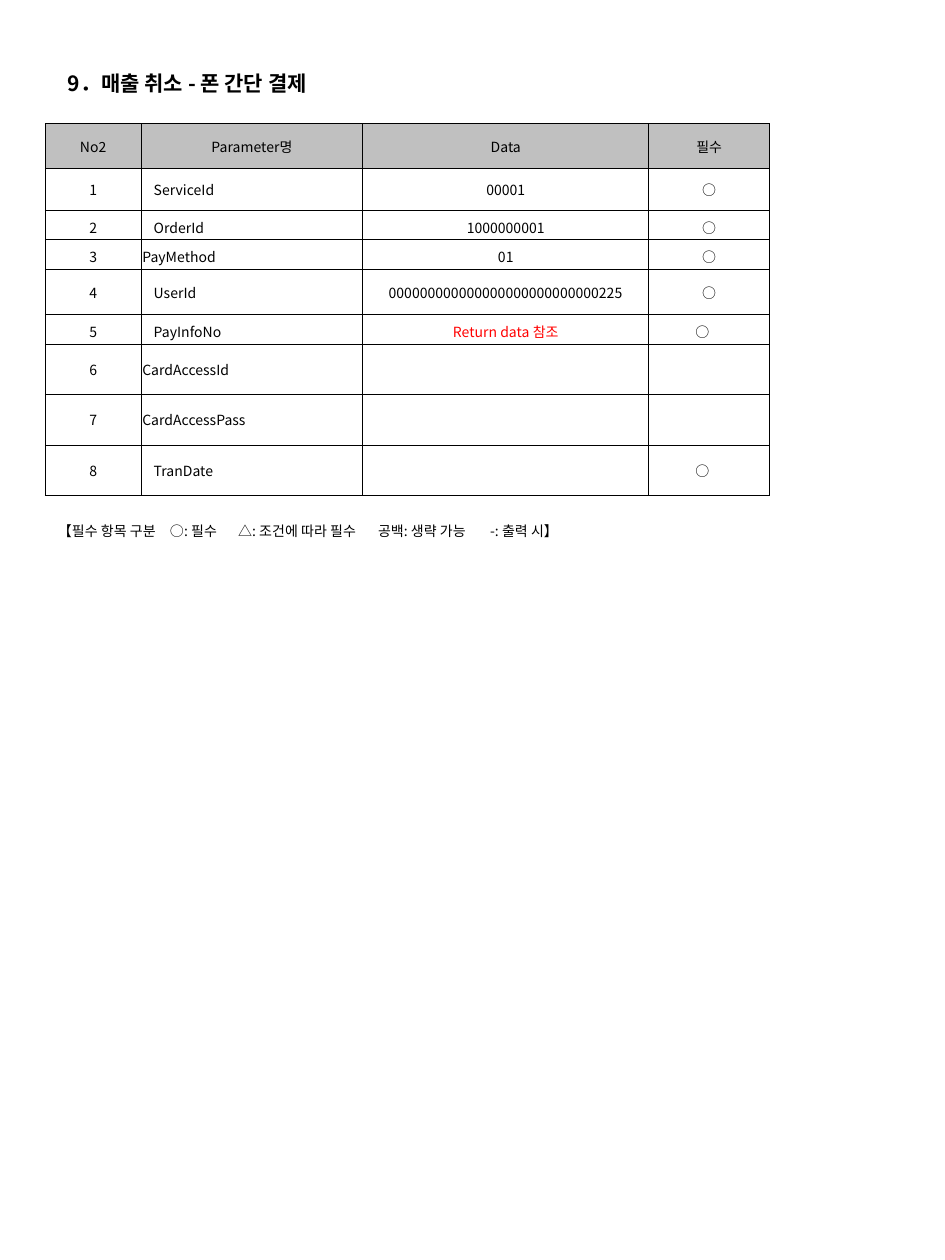
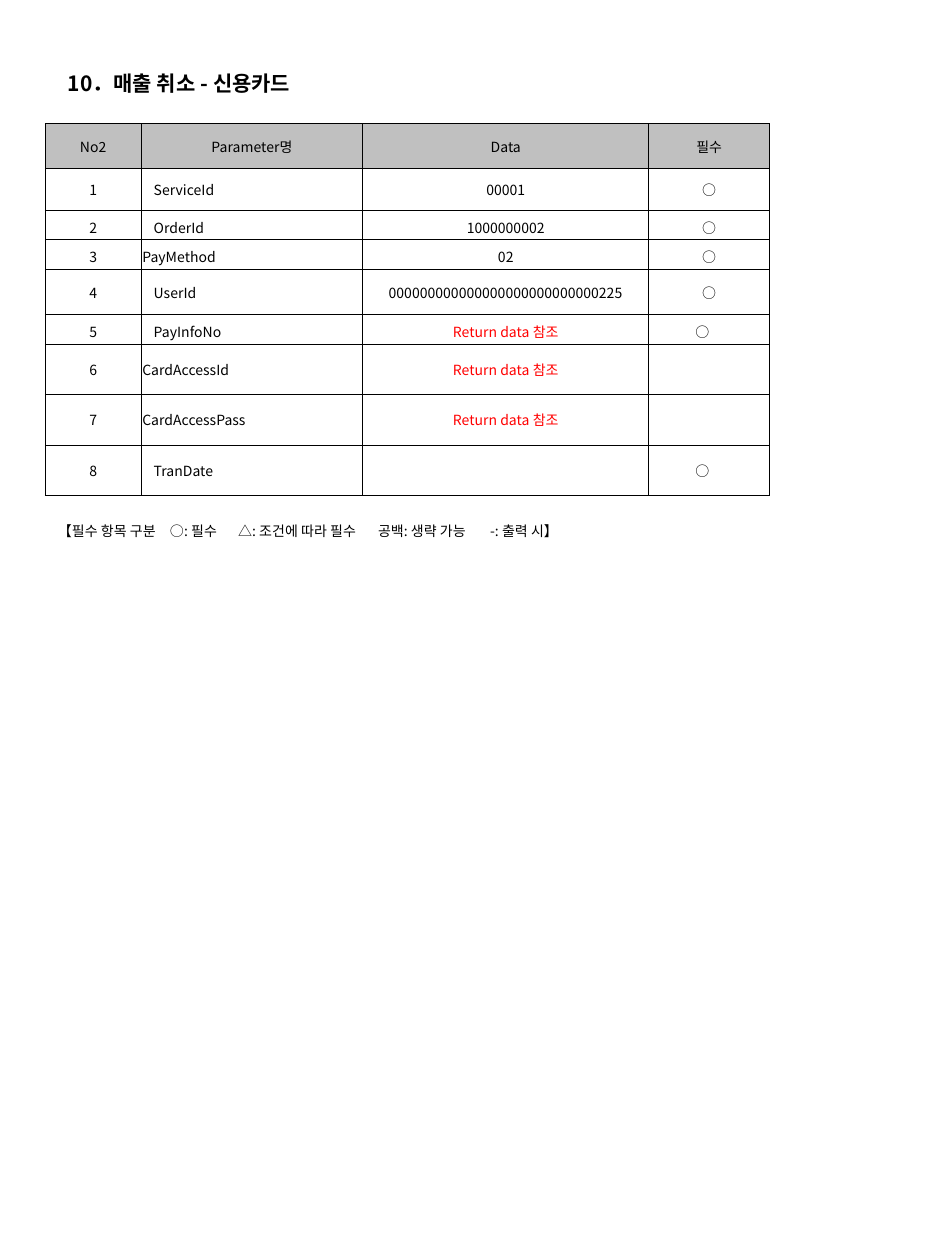
from lxml.etree import SubElement
from pptx import Presentation
from pptx.dml.color import RGBColor
from pptx.enum.text import MSO_ANCHOR as Anchor, MSO_AUTO_SIZE as AutoSize, PP_ALIGN as Align
from pptx.oxml.ns import qn
from pptx.util import Inches, Pt

COLORS = {"text": "000000", "line": "000000", "header": "C0C0C0", "cell": "FFFFFF", "note": "FF0000"}
FONT = "Noto Sans CJK KR"
TITLE_BOX = (0.44, 0.51, 5.92, 0.3)
TABLE_BOX = (0.36, 0.98, 5.75, 2.98)
COLUMN_WIDTHS = (0.76, 1.76, 2.27, 0.96)
ROW_HEIGHTS = (0.36, 0.33, 0.23, 0.23, 0.36, 0.23, 0.23, 0.23, 0.23, 0.55)
HEADERS = ("No2", "Parameter명", "Data", "필수")
PARAMETERS = ("ServiceId", "OrderId", "PayMethod", "UserId", "PayInfoNo",
              "CardAccessId", "CardAccessPass", "TranDate")
FLUSH_PARAMETERS = ("PayMethod", "CardAccessId", "CardAccessPass")
REQUIRED = ("ServiceId", "OrderId", "PayMethod", "UserId", "PayInfoNo", "TranDate")
SHIFTED_MARKS = ("PayInfoNo", "TranDate")
LEGEND = "【필수 항목 구분　○: 필수\t△: 조건에 따라 필수\t공백: 생략 가능\t-: 출력 시】"
LEGEND_TABS = (1.43, 2.54, 3.43)
USER_ID = "000000000000000000000000000225"
RETURN_NOTE = "Return data 참조"

SLIDES = (
    ("9．매출 취소 - 폰 간단 결제",
     ("00001", "1000000001", "01", USER_ID, RETURN_NOTE, "", "", "")),
    ("10．매출 취소 - 신용카드",
     ("00001", "1000000002", "02", USER_ID, RETURN_NOTE, RETURN_NOTE, RETURN_NOTE, "")),
)


def write(text_frame, text, size, color="text", bold=False, align=Align.LEFT, tabs=()):
    """Fill the first paragraph of a text frame and style it."""
    paragraph = text_frame.paragraphs[0]
    paragraph.text = text
    paragraph.alignment = align
    properties = paragraph._p.get_or_add_pPr()
    if tabs:
        tab_list = SubElement(properties, qn("a:tabLst"))
        for position in tabs:
            SubElement(tab_list, qn("a:tab"), pos=str(Inches(position)), algn="l")
    font = paragraph.font
    font.size, font.bold, font.name = Pt(size), bold, FONT
    font.color.rgb = RGBColor.from_string(COLORS[color])
    SubElement(properties.find(qn("a:defRPr")), qn("a:ea"), typeface=FONT)


def set_borders(cell, sides="LRTB"):
    """Draw thin lines on the named sides of a cell and none on the others."""
    properties = cell._tc.get_or_add_tcPr()
    for side in "LRTB":
        line = SubElement(properties, qn(f"a:ln{side}"), w=str(Pt(0.45)))
        if side in sides:
            fill = SubElement(line, qn("a:solidFill"))
            SubElement(fill, qn("a:srgbClr"), val=COLORS["line"])
        else:
            SubElement(line, qn("a:noFill"))


def add_title(slide, box, text):
    """Place the bold slide title in its box."""
    frame = slide.shapes.add_textbox(*map(Inches, box)).text_frame
    frame.word_wrap = True
    frame.auto_size = AutoSize.SHAPE_TO_FIT_TEXT
    write(frame, text, 12, bold=True)


def fill_cell(cell, text, fill, align=Align.CENTER, left=0.1, right=0.1):
    """Give a grid cell its borders, fill, margins and text."""
    set_borders(cell)
    cell.fill.solid()
    cell.fill.fore_color.rgb = RGBColor.from_string(COLORS[fill])
    cell.vertical_anchor = Anchor.MIDDLE
    cell.margin_left, cell.margin_right = Inches(left), Inches(right)
    if text:
        write(cell.text_frame, text, 8, "note" if text == RETURN_NOTE else "text", align=align)


def add_legend(table, row):
    """Merge the closing row and write the key to the required marks."""
    cells = [table.cell(row, column) for column in range(len(COLUMN_WIDTHS))]
    for cell in cells:
        set_borders(cell, "T")
        cell.fill.background()
    cells[0].merge(cells[-1])
    cells[0].vertical_anchor = Anchor.MIDDLE
    write(cells[0].text_frame, LEGEND, 8, tabs=LEGEND_TABS)


def add_parameter_table(slide, box, data):
    """Place the parameter table with its header, rows and legend."""
    frame = slide.shapes.add_table(len(ROW_HEIGHTS), len(COLUMN_WIDTHS), *map(Inches, box))
    table = frame.table
    table.first_row = table.horz_banding = False
    for column, width in zip(table.columns, COLUMN_WIDTHS):
        column.width = Inches(width)
    for row, height in zip(table.rows, ROW_HEIGHTS):
        row.height = Inches(height)
    for column, header in enumerate(HEADERS):
        fill_cell(table.cell(0, column), header, "header")
    for row, (name, value) in enumerate(zip(PARAMETERS, data), 1):
        number_cell, name_cell, data_cell, mark_cell = table.rows[row].cells
        fill_cell(number_cell, str(row), "cell")
        fill_cell(name_cell, name, "cell", Align.LEFT, left=0.01 if name in FLUSH_PARAMETERS else 0.1)
        fill_cell(data_cell, value, "cell")
        fill_cell(mark_cell, "○" if name in REQUIRED else "", "cell",
                  right=0.21 if name in SHIFTED_MARKS else 0.1)
    add_legend(table, len(ROW_HEIGHTS) - 1)


def main():
    """Build the sales cancellation slides and save them."""
    presentation = Presentation()
    presentation.slide_width, presentation.slide_height = Inches(7.5), Inches(10)
    for title, data in SLIDES:
        slide = presentation.slides.add_slide(presentation.slide_layouts[6])
        add_title(slide, TITLE_BOX, title)
        add_parameter_table(slide, TABLE_BOX, data)
    presentation.save("out.pptx")


if __name__ == "__main__":
    main()
